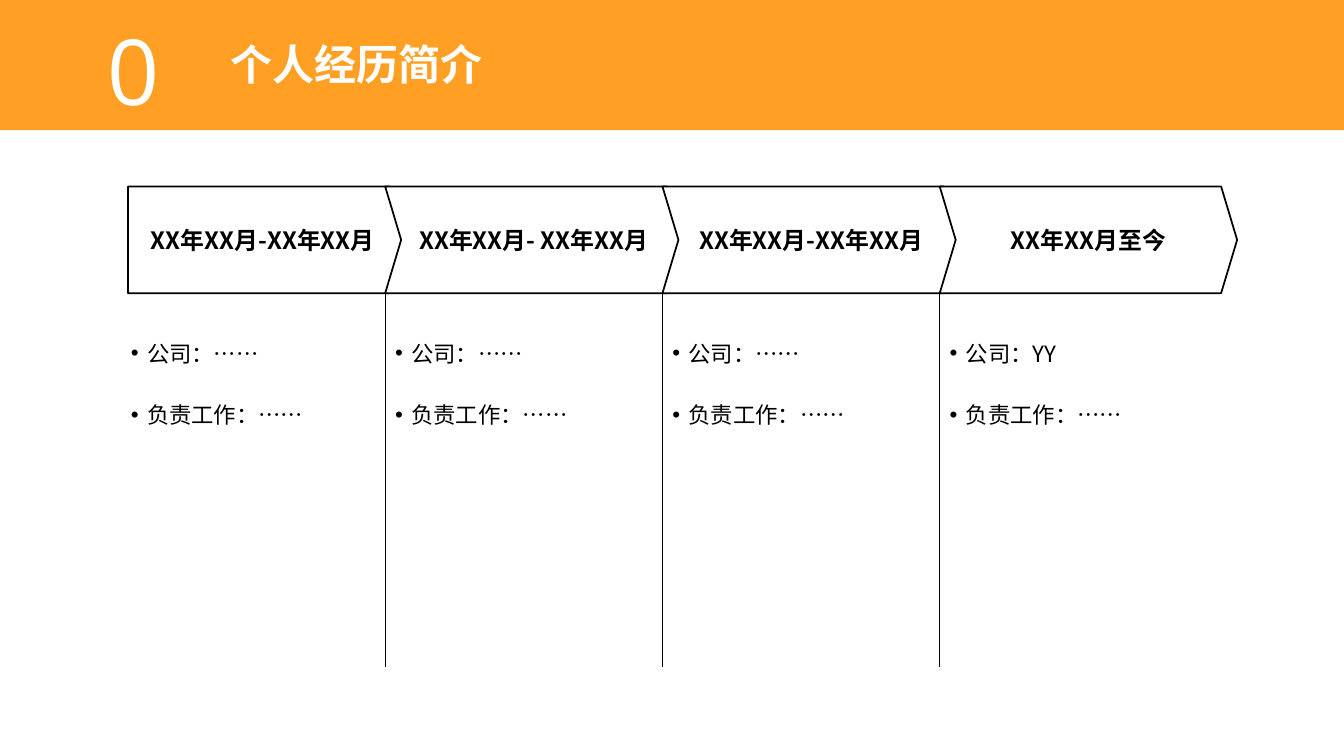
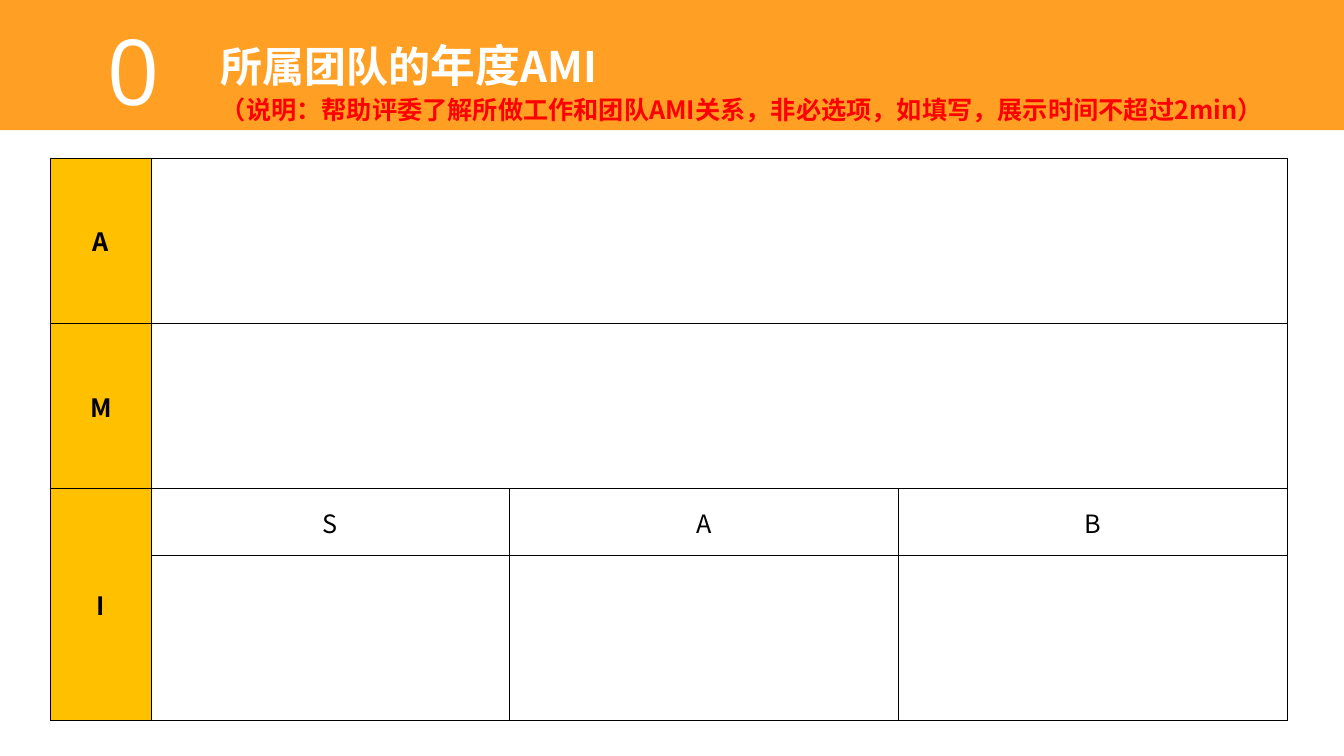
from lxml.etree import SubElement
from pptx import Presentation
from pptx.dml.color import RGBColor
from pptx.enum.shapes import MSO_CONNECTOR as Link, MSO_SHAPE as Form
from pptx.enum.text import MSO_ANCHOR as Anchor, MSO_AUTO_SIZE as Auto, PP_ALIGN as Align
from pptx.oxml.ns import qn
from pptx.util import Inches, Pt

ORANGE, GOLD, WHITE, BLACK, RED = "FFA024", "FFC000", "FFFFFF", "000000", "FF0000"
SANS, LATIN = "Noto Sans CJK SC", "Open Sans"
INSETS = ("margin_left", "margin_top", "margin_right", "margin_bottom")


def tint(code):
    return RGBColor.from_string(code)


def assign(item, values):
    for key, value in values.items():
        setattr(item, key, value)


class Deck:
    """Hold the shared style and the slide being built."""

    def __init__(self):
        self.show = Presentation()
        self.show.slide_width, self.show.slide_height = Inches(13.33), Inches(7.5)
        self.slide = None

    def run(self, para, text, size, color=BLACK, face=SANS, bold=False):
        run = para.add_run()
        run.text = text
        assign(run.font, {"size": Pt(size), "name": face, "bold": bold})
        run.font.color.rgb = tint(color)
        SubElement(run.font._element, qn("a:ea"), typeface=face)

    def label(self, frame, text, size, **style):
        frame.word_wrap = True
        para = frame.paragraphs[0]
        para.alignment = Align.CENTER
        self.run(para, text, size, **style)

    def block(self, form, left, top, width, height, fill, edge=None):
        shape = self.slide.shapes.add_shape(
            form, Inches(left), Inches(top), Inches(width), Inches(height))
        shape.shadow.inherit = False
        shape.fill.solid()
        shape.fill.fore_color.rgb = tint(fill)
        if edge:
            shape.line.color.rgb = tint(edge)
            shape.line.width = Pt(1.25)
        else:
            shape.line.fill.background()
        return shape

    def box(self, left, top, width, height):
        return self.slide.shapes.add_textbox(
            Inches(left), Inches(top), Inches(width), Inches(height)).text_frame

    def page(self, number, left, width, height, lines):
        self.slide = self.show.slides.add_slide(self.show.slide_layouts[5])
        title = self.slide.shapes.title
        band = self.block(Form.RECTANGLE, 0, 0, 13.33, 1.29, ORANGE)
        title._element.addprevious(band._element)
        tight = dict.fromkeys(INSETS, Inches(0.05))

        digits = self.box(1.02, 0.09, 1.12, 1.18)
        assign(digits, tight | {"word_wrap": False, "auto_size": Auto.SHAPE_TO_FIT_TEXT})
        self.run(digits.paragraphs[0], number, 65, WHITE, LATIN)

        assign(title, {"left": Inches(left), "top": Inches(0.43),
                       "width": Inches(width), "height": Inches(height)})
        frame = title.text_frame
        assign(frame, tight | {"word_wrap": True, "auto_size": Auto.NONE,
                               "vertical_anchor": Anchor.TOP})
        for i, runs in enumerate(lines):
            para = frame.add_paragraph() if i else frame.paragraphs[0]
            assign(para, {"alignment": Align.LEFT, "line_spacing": 0.8,
                          "space_before": Pt(6)})
            for text, size, color in runs:
                self.run(para, text, size, color, bold=True)

    def stage(self, form, left, width, text):
        shape = self.block(form, left, 1.85, width, 1.06, WHITE, BLACK)
        shape.adjustments[0] = 0.15
        shape.text_frame.vertical_anchor = Anchor.MIDDLE
        self.label(shape.text_frame, text, 17, bold=True)

    def bullets(self, left, items):
        frame = self.box(left, 3.24, 2.75, 1.48)
        frame.word_wrap = True
        for i, text in enumerate(items):
            para = frame.add_paragraph() if i else frame.paragraphs[0]
            assign(para, {"line_spacing": 1.3, "space_before": Pt(19 if i else 0)})
            props = para._p.get_or_add_pPr()
            props.set("marL", str(Inches(0.16)))
            props.set("indent", str(Inches(-0.16)))
            SubElement(props, qn("a:buFont"), typeface="Arial")
            SubElement(props, qn("a:buChar"), char="•")
            self.run(para, text, 16)

    def rule(self, left, top, end):
        line = self.slide.shapes.add_connector(
            Link.STRAIGHT, Inches(left), Inches(top), Inches(left), Inches(end))
        line.line.color.rgb = tint(BLACK)
        line.line.width = Pt(0.75)
        SubElement(line._element.spPr, qn("a:effectLst"))

    def border(self, cell):
        props = cell._tc.get_or_add_tcPr()
        for i, side in enumerate(("lnL", "lnR", "lnT", "lnB")):
            line = SubElement(props, qn("a:" + side), w=str(Pt(1)))
            fill = SubElement(line, qn("a:solidFill"))
            SubElement(fill, qn("a:srgbClr"), val=BLACK)
            props.insert(i, line)

    def table(self, left, top, cols, rows, spans, texts):
        grid = self.slide.shapes.add_table(
            len(rows), len(cols), Inches(left), Inches(top),
            Inches(sum(cols)), Inches(sum(rows))).table
        assign(grid, {"first_row": False, "horz_banding": False})
        for col, width in zip(grid.columns, cols):
            col.width = Inches(width)
        for row, height in zip(grid.rows, rows):
            row.height = Inches(height)
        for start, end in spans:
            grid.cell(*start).merge(grid.cell(*end))
        for r in range(len(rows)):
            for c in range(len(cols)):
                cell = grid.cell(r, c)
                cell.fill.solid()
                cell.fill.fore_color.rgb = tint(WHITE if c else GOLD)
                cell.vertical_anchor = Anchor.MIDDLE
                self.border(cell)
                if (r, c) in texts:
                    self.label(cell.text_frame, texts[r, c], 18, bold=c == 0)


def main():
    deck = Deck()
    deck.page("01", 2.24, 4.65, 0.5, [[("个人经历简介", 30, WHITE)]])
    stages = [("XX年XX月-XX年XX月", "……"), ("XX年XX月- XX年XX月", "……"),
              ("XX年XX月-XX年XX月", "……"), ("XX年XX月至今", "YY")]
    for i, (date, firm) in enumerate(stages):
        left = 1.07 + 2.75 * i
        if i:
            deck.stage(Form.CHEVRON, left, 2.95, date)
            deck.rule(left, 2.91, 6.62)
        else:
            deck.stage(Form.PENTAGON, left + 0.2, 2.75, date)
        deck.bullets(left if i else left + 0.13, ["公司：" + firm, "负责工作：……"])

    note = "（说明：帮助评委了解所做工作和团队AMI关系，非必选项，如填写，展示时间不超过2min）"
    deck.page("02", 2.14, 11.19, 0.86, [
        [("所属团队的", 30, WHITE), ("年度", 32, WHITE), ("AMI", 30, WHITE)],
        [(note, 18, RED)]])
    deck.table(0.5, 1.57, [1, 3.55, 3.86, 3.86], [1.64, 1.64, 0.66, 1.64],
               [((0, 1), (0, 3)), ((1, 1), (1, 3)), ((2, 0), (3, 0))],
               {(0, 0): "A", (1, 0): "M", (2, 0): "I",
                (2, 1): "S", (2, 2): "A", (2, 3): "B"})
    deck.show.save("out.pptx")


if __name__ == "__main__":
    main()
